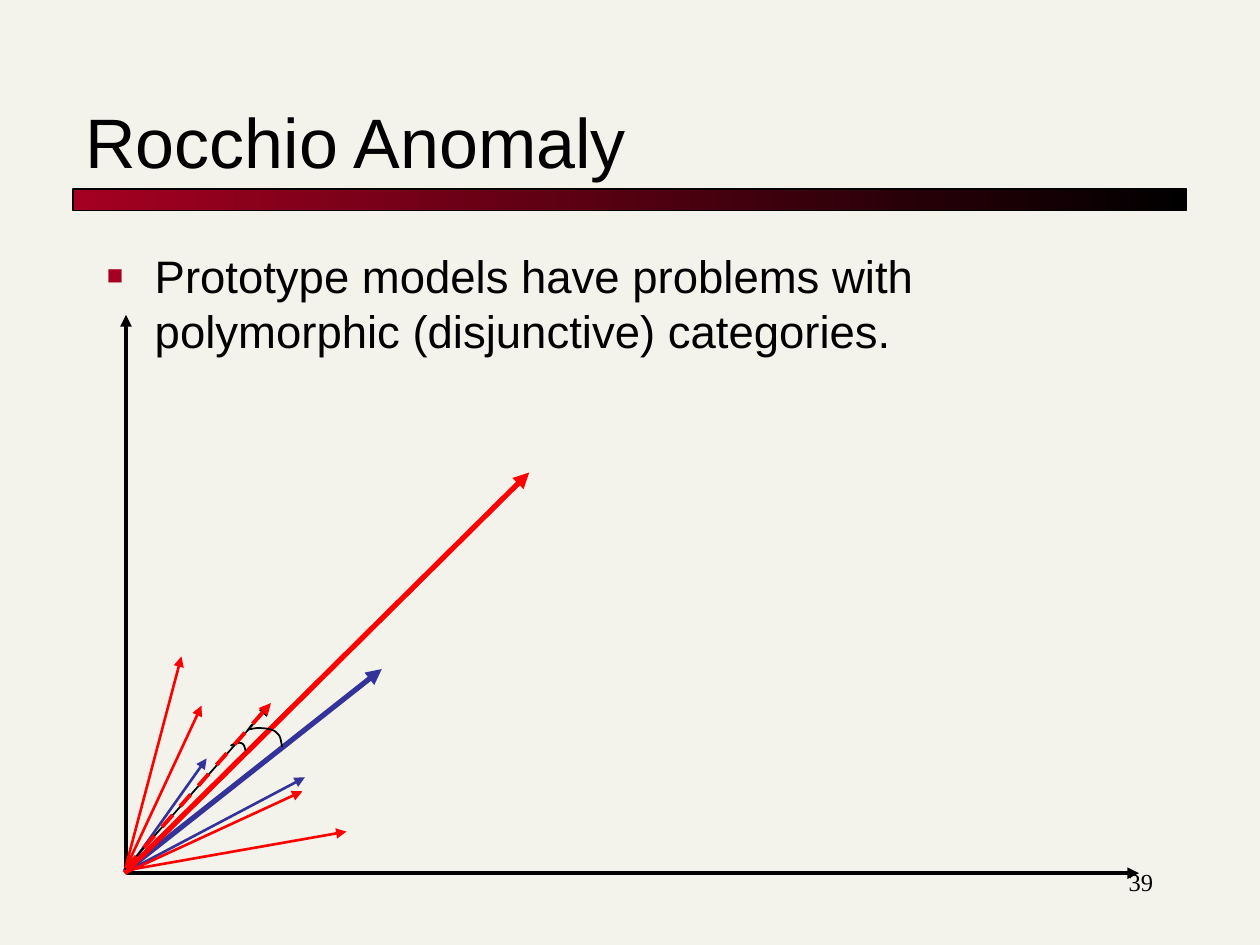
from dataclasses import dataclass

import pptx
import pptx.dml.color
import pptx.enum.dml
import pptx.enum.shapes
import pptx.enum.text
import pptx.oxml
import pptx.oxml.ns
import pptx.util
from pptx.util import Inches


def rgb(code):
    return pptx.dml.color.RGBColor.from_string(code)


@dataclass
class Theme:
    paper: str = "F4F3EB"
    black: str = "000000"
    maroon: str = "A50021"
    red: str = "FF0000"
    blue: str = "333399"
    sans: str = "Arial"
    serif: str = "Times New Roman"
    title_size: int = 40
    body_size: int = 26
    number_size: int = 14


theme = Theme()
A_NS = pptx.oxml.ns.nsdecls("a")
ALIGN = pptx.enum.text.PP_ALIGN
ANCHOR = pptx.enum.text.MSO_ANCHOR

prs = pptx.Presentation()
prs.slide_width, prs.slide_height = Inches(10), Inches(7.5)
s = prs.slides.add_slide(prs.slide_layouts[6])
s.background.fill.solid()
s.background.fill.fore_color.rgb = rgb(theme.paper)

# Rule under the title
bar = s.shapes.add_shape(pptx.enum.shapes.MSO_SHAPE.RECTANGLE,
                         Inches(0.58), Inches(1.5), Inches(8.84), Inches(0.17))
bar.shadow.inherit = False
bar.fill.gradient()
bar.fill.gradient_angle = 0
for stop, color in zip(bar.fill.gradient_stops, (theme.maroon, theme.black)):
    stop.color.rgb = rgb(color)
bar.line.color.rgb = rgb(theme.black)
bar.line.width = pptx.util.Pt(0.75)

# Slide number, title and body text
texts = [
    ("39", (7.17, 6.83, 2.08, 0.5), theme.serif, theme.number_size,
     ALIGN.RIGHT, ANCHOR.TOP),
    ("Rocchio Anomaly", (0.58, 0.42, 8.83, 1.08), theme.sans, theme.title_size,
     ALIGN.LEFT, ANCHOR.BOTTOM),
    ("Prototype models have problems with polymorphic (disjunctive) categories.",
     (0.75, 1.92, 8.5, 5.33), theme.sans, theme.body_size,
     ALIGN.LEFT, ANCHOR.TOP),
]
for text, box, font, size, align, anchor in texts:
    tf = s.shapes.add_textbox(*map(Inches, box)).text_frame
    tf.word_wrap = True
    tf.vertical_anchor = anchor
    p = tf.paragraphs[0]
    p.alignment = align
    r = p.add_run()
    r.text = text
    r.font.name = font
    r.font.size = pptx.util.Pt(size)
    r.font.color.rgb = rgb(theme.black)

# The body is the last text: give it a hanging square bullet
pPr = p._p.get_or_add_pPr()
pPr.set("marL", str(Inches(0.38)))
pPr.set("indent", str(Inches(-0.38)))
for xml in (f'<a:buClr {A_NS}><a:srgbClr val="{theme.maroon}"/></a:buClr>',
            f'<a:buSzPct {A_NS} val="60000"/>',
            f'<a:buFont {A_NS} typeface="{theme.sans}"/>',
            f'<a:buChar {A_NS} char="■"/>'):
    pPr.append(pptx.oxml.parse_xml(xml))


def add_arrow(start, end, color, width, dashed=False):
    line = s.shapes.add_connector(pptx.enum.shapes.MSO_CONNECTOR.STRAIGHT,
                                  *map(Inches, (*start, *end)))
    line.line.color.rgb = rgb(color)
    line.line.width = pptx.util.Pt(width)
    if dashed:
        line.line.dash_style = pptx.enum.dml.MSO_LINE.DASH
    line.line._get_or_add_ln().append(
        pptx.oxml.parse_xml(f'<a:tailEnd {A_NS} type="triangle"/>'))
    line._element.spPr.append(pptx.oxml.parse_xml(f"<a:effectLst {A_NS}/>"))


# Axes, example vectors, prototype vectors and the vector to classify
arrows = [
    ((1, 6.92), (1, 2.5), theme.black, 2.25),
    ((1, 6.93), (9.04, 6.93), theme.black, 2.25),
    ((0.99, 6.91), (1.44, 5.21), theme.red, 1.5),
    ((0.99, 6.91), (1.6, 5.6), theme.red, 1.5),
    ((1, 6.92), (1.64, 6.02), theme.blue, 1.5),
    ((1, 6.92), (2.42, 6.17), theme.blue, 1.5),
    ((0.99, 6.93), (2.4, 6.28), theme.red, 1.5),
    ((0.99, 6.91), (2.75, 6.6), theme.red, 1.5),
    ((0.99, 6.92), (3.03, 5.31), theme.blue, 3),
    ((0.99, 6.93), (4.2, 3.75), theme.red, 3),
    ((0.99, 6.9), (2.14, 5.6), theme.black, 1),
]
for arrow in arrows:
    add_arrow(*arrow)

# Angle arcs: leading corner points, then Bezier segments of three points each
STEPS = 8
arcs = [
    ([(1.83, 5.92)],
     [((1.86, 5.9), (1.9, 5.89), (1.92, 5.9)),
      ((1.94, 5.91), (1.94, 5.93), (1.95, 5.96))]),
    ([(2, 5.75), (1.97, 5.79)],
     [((1.98, 5.79), (2.05, 5.77), (2.08, 5.78)),
      ((2.12, 5.78), (2.18, 5.79), (2.2, 5.82)),
      ((2.23, 5.84), (2.23, 5.89), (2.24, 5.93))]),
]
for corners, curves in arcs:
    points = list(corners)
    for b, c, d in curves:
        a = points[-1]
        for t in (i / STEPS for i in range(1, STEPS + 1)):
            u = 1 - t
            points.append(tuple(
                u**3 * a[k] + 3 * u * u * t * b[k] + 3 * u * t * t * c[k] + t**3 * d[k]
                for k in (0, 1)))
    path_points = [(Inches(x), Inches(y)) for x, y in points]
    builder = s.shapes.build_freeform(*path_points[0])
    builder.add_line_segments(path_points[1:], close=False)
    arc = builder.convert_to_shape()
    arc.shadow.inherit = False
    arc.fill.background()
    arc.line.color.rgb = rgb(theme.black)
    arc.line.width = pptx.util.Pt(1)

add_arrow((1, 6.89), (2.15, 5.58), theme.red, 2.25, dashed=True)

prs.save("out.pptx")
